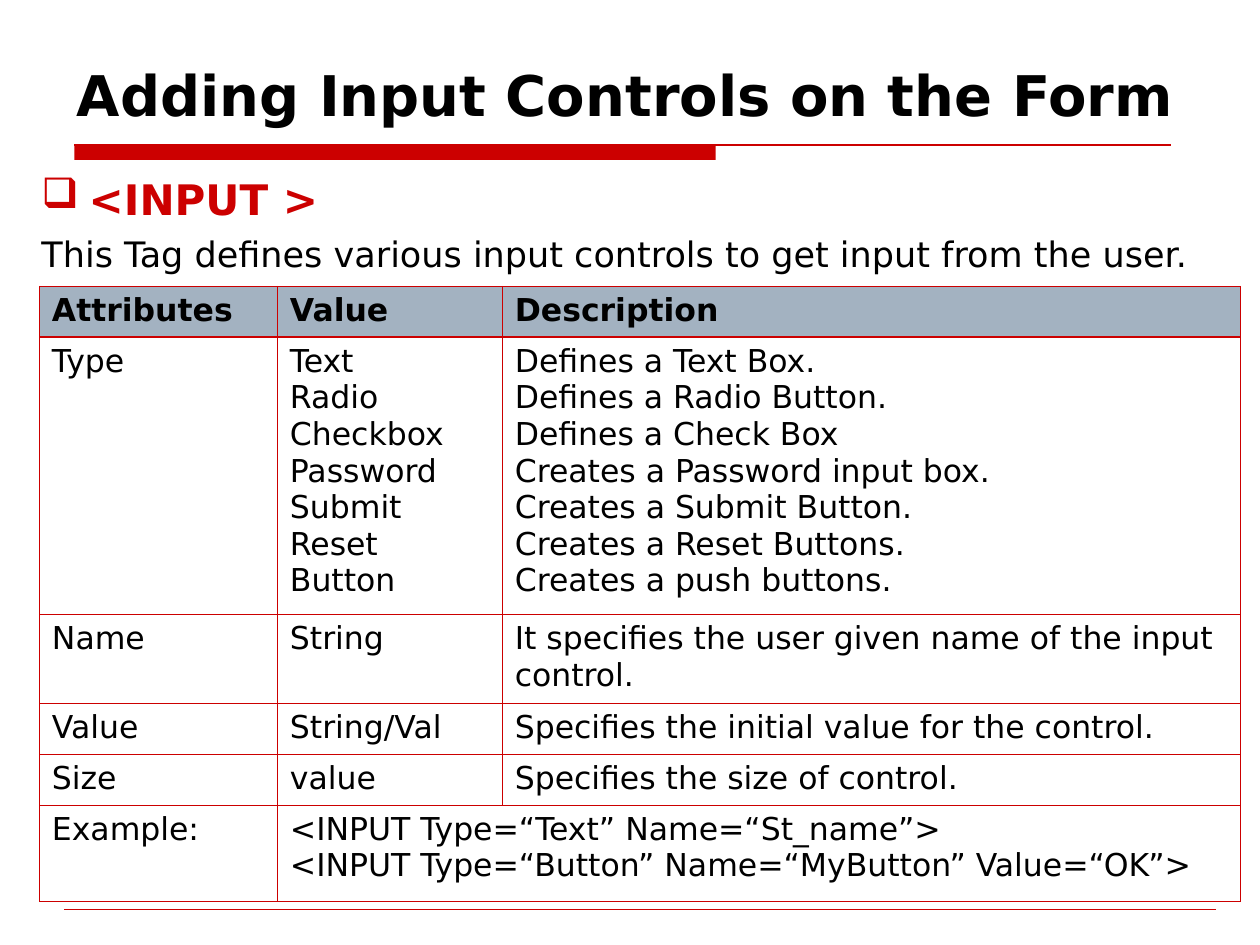
import pptx
import pptx.dml.color
import pptx.enum.shapes
import pptx.enum.text
import pptx.util
from lxml import etree
from pptx.oxml.ns import qn

Pt = pptx.util.Pt
RED = pptx.dml.color.RGBColor(0xCC, 0x00, 0x00)
BLACK = pptx.dml.color.RGBColor(0x00, 0x00, 0x00)
HEADER = pptx.dml.color.RGBColor(0xA3, 0xB2, 0xC1)
FONT = "DejaVu Sans"

TITLE = "Adding Input Controls on the Form"
TAG = "<INPUT >"
INTRO = "This Tag defines various input controls to get input from the user."
ROWS = [
    ("Attributes", "Value", "Description"),
    ("Type",
     "Text\nRadio\nCheckbox\nPassword\nSubmit\nReset\nButton",
     "Defines a Text Box.\nDefines a Radio Button.\nDefines a Check Box\n"
     "Creates a Password input box.\nCreates a Submit Button.\n"
     "Creates a Reset Buttons.\nCreates a push buttons."),
    ("Name", "String", "It specifies the user given name of the input control."),
    ("Value", "String/Val", "Specifies the initial value for the control."),
    ("Size", "value", "Specifies the size of control."),
    ("Example:",
     "<INPUT Type=“Text” Name=“St_name”>\n"
     "<INPUT Type=“Button” Name=“MyButton” Value=“OK”>"),
]
COL_WIDTHS = (136, 128.5, 422)
ROW_HEIGHTS = (29, 158.5, 51, 29, 29, 55)
TABLE_LEFT, TABLE_TOP = 22.5, 163.5
THIN, THICK = 0.45, 0.96


def style(font, size, color=BLACK, bold=False):
    values = {"name": FONT, "size": Pt(size), "bold": bold}
    for name, value in values.items():
        setattr(font, name, value)
    font.color.rgb = color


def add_rule(s, x1, x2, y, width):
    """Draw a horizontal red line."""
    line = s.shapes.add_connector(pptx.enum.shapes.MSO_CONNECTOR.STRAIGHT,
                                  Pt(x1), Pt(y), Pt(x2), Pt(y))
    line.line.color.rgb = RED
    line.line.width = Pt(width)
    etree.SubElement(line._element.spPr, qn("a:effectLst"))


def set_indent(p, bullet=None):
    """Give a paragraph a hanging indent and, if asked, a red bullet."""
    pPr = p._p.get_or_add_pPr()
    pPr.set("marL", str(Pt(27)))
    pPr.set("indent", str(-Pt(27)))
    if bullet:
        color = etree.SubElement(pPr, qn("a:buClr"))
        etree.SubElement(color, qn("a:srgbClr"), val=str(RED))
        etree.SubElement(pPr, qn("a:buChar"), char=bullet)
    else:
        etree.SubElement(pPr, qn("a:buNone"))


def set_borders(cell, row):
    widths = {"L": THIN, "R": THIN,
              "T": THICK if row == 1 else THIN,
              "B": THICK if row == 0 else THIN}
    tcPr = cell._tc.get_or_add_tcPr()
    for side, width in widths.items():
        ln = etree.SubElement(tcPr, qn("a:ln" + side), w=str(Pt(width)))
        fill = etree.SubElement(ln, qn("a:solidFill"))
        etree.SubElement(fill, qn("a:srgbClr"), val=str(RED))


def add_title(s):
    sp = s.shapes.title
    sp.left, sp.top, sp.width, sp.height = Pt(36.7), Pt(26), Pt(648), Pt(50.4)
    tf = sp.text_frame
    tf.text = TITLE
    tf.vertical_anchor = pptx.enum.text.MSO_ANCHOR.BOTTOM
    tf.auto_size = pptx.enum.text.MSO_AUTO_SIZE.NONE
    p = tf.paragraphs[0]
    p.alignment = pptx.enum.text.PP_ALIGN.LEFT
    p.line_spacing = 1.0
    style(p.runs[0].font, 32, bold=True)


def add_intro(s):
    sp = s.shapes.add_textbox(Pt(16.6), Pt(95.8), Pt(686), Pt(67.7))
    tf = sp.text_frame
    tf.word_wrap = True
    tf.text = TAG + "\n" + INTRO
    formats = [(24, RED, True, 6, "❑"), (20, BLACK, False, 5, None)]
    for p, (size, color, bold, before, bullet) in zip(tf.paragraphs, formats):
        p.space_before = Pt(before)
        set_indent(p, bullet)
        style(p.runs[0].font, size, color, bold)


def add_attribute_table(s):
    table = s.shapes.add_table(len(ROWS), len(COL_WIDTHS), Pt(TABLE_LEFT), Pt(TABLE_TOP),
                               Pt(sum(COL_WIDTHS)), Pt(sum(ROW_HEIGHTS))).table
    table.first_row = table.horz_banding = False
    for column, width in zip(table.columns, COL_WIDTHS):
        column.width = Pt(width)
    for row, height in zip(table.rows, ROW_HEIGHTS):
        row.height = Pt(height)
    last = len(ROWS) - 1
    table.cell(last, 1).merge(table.cell(last, 2))

    for i, row in enumerate(table.rows):
        for cell in row.cells:
            set_borders(cell, i)
            if i == 0:
                cell.fill.solid()
                cell.fill.fore_color.rgb = HEADER
            else:
                cell.fill.background()
        for cell, text in zip(row.cells, ROWS[i]):
            cell.text_frame.text = text
            for p in cell.text_frame.paragraphs:
                style(p.runs[0].font, 18, bold=i == 0)


def main():
    prs = pptx.Presentation()
    prs.slide_width, prs.slide_height = Pt(720), Pt(540)
    s = prs.slides.add_slide(prs.slide_layouts[5])

    bar = s.shapes.add_shape(pptx.enum.shapes.MSO_SHAPE.RECTANGLE,
                             Pt(42.5), Pt(82.8), Pt(366.5), Pt(8.6))
    bar.shadow.inherit = False
    bar.fill.solid()
    bar.fill.fore_color.rgb = RED
    bar.line.fill.background()
    add_rule(s, 42.5, 669, 82.8, 0.75)
    add_rule(s, 36.7, 694.8, 519.8, 0.25)

    add_title(s)
    add_intro(s)
    add_attribute_table(s)
    prs.save("out.pptx")


if __name__ == "__main__":
    main()
